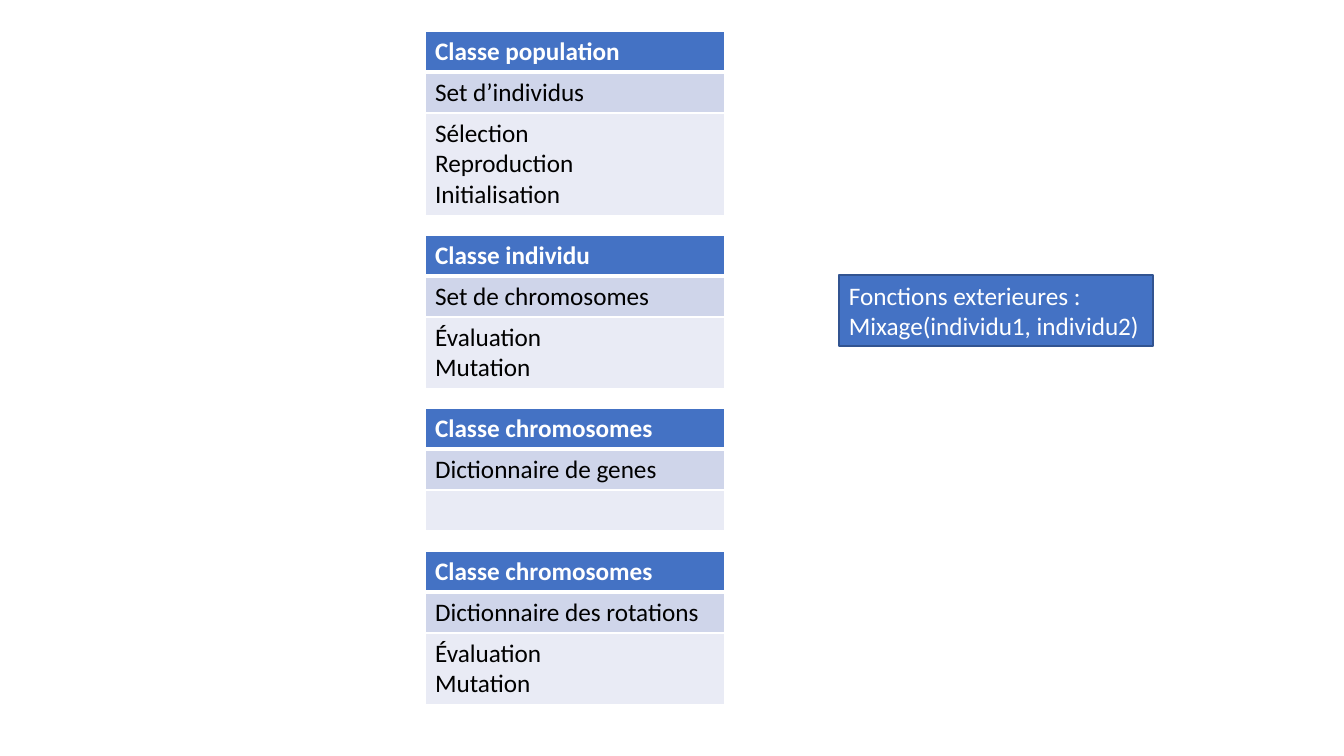
"""Build a slide of class tables beside a box of external functions."""
from dataclasses import dataclass

from lxml import etree
from pptx import Presentation
from pptx.dml.color import RGBColor
from pptx.enum.shapes import MSO_SHAPE
from pptx.enum.text import MSO_ANCHOR, MSO_AUTO_SIZE, PP_ALIGN
from pptx.oxml.ns import qn
from pptx.util import Emu, Pt

RECTANGLE = MSO_SHAPE.RECTANGLE
MIDDLE = MSO_ANCHOR.MIDDLE
GROW = MSO_AUTO_SIZE.SHAPE_TO_FIT_TEXT
LEFT = PP_ALIGN.LEFT

COLORS = {
    "accent": "4472C4",
    "attribute": "CFD5EA",
    "method": "E9EBF5",
    "outline": "325491",
    "white": "FFFFFF",
    "black": "000000",
}
FONT = "Calibri"
TABLE_LEFT, TABLE_WIDTH = 425, 300
ROW_HEIGHT, LINE_HEIGHT = 41, 30
THIN, THICK = 1, 3


@dataclass(frozen=True)
class ClassTable:
    top: int
    title: str
    attribute: str
    methods: tuple[str, ...] = ()


@dataclass(frozen=True)
class RowStyle:
    fill: str
    color: str
    bold: bool
    above: int
    below: int


ROW_STYLES = (
    RowStyle("accent", "white", True, THIN, THICK),
    RowStyle("attribute", "black", False, THICK, THIN),
    RowStyle("method", "black", False, THIN, THIN),
)
CLASS_TABLES = (
    ClassTable(235, "Classe individu", "Set de chromosomes", ("Évaluation", "Mutation")),
    ClassTable(408, "Classe chromosomes", "Dictionnaire de genes"),
    ClassTable(31, "Classe population", "Set d’individus",
               ("Sélection", "Reproduction", "Initialisation")),
    ClassTable(551, "Classe chromosomes", "Dictionnaire des rotations",
               ("Évaluation", "Mutation")),
)


def px(pixels: int) -> Emu:
    return Emu(round(pixels * 914400 / 100.8))


def rgb(name: str) -> RGBColor:
    return RGBColor.from_string(COLORS[name])


def write_text(frame, text: str, *, color: str, bold: bool = False, size: int = 18) -> None:
    for index, line in enumerate(text.split("\n")):
        para = frame.add_paragraph() if index else frame.paragraphs[0]
        para.alignment = LEFT
        if not line:
            continue
        span = para.add_run()
        span.text = line
        span.font.name = FONT
        span.font.size = Pt(size)
        span.font.bold = bold
        span.font.color.rgb = rgb(color)


def set_borders(cell, above: int, below: int) -> None:
    properties = cell._tc.get_or_add_tcPr()
    widths = {"lnL": THIN, "lnR": THIN, "lnT": above, "lnB": below}
    for index, (side, width) in enumerate(widths.items()):
        border = etree.Element(qn(f"a:{side}"), w=str(Pt(width)))
        fill = etree.SubElement(border, qn("a:solidFill"))
        etree.SubElement(fill, qn("a:srgbClr"), val=COLORS["white"])
        properties.insert(index, border)


def draw_class_table(page, item: ClassTable) -> None:
    texts = (item.title, item.attribute, "\n".join(item.methods))
    extra_lines = max(len(item.methods) - 1, 0)
    height = px(len(texts) * ROW_HEIGHT + extra_lines * LINE_HEIGHT)
    holder = page.shapes.add_table(len(texts), 1, px(TABLE_LEFT), px(item.top),
                                   px(TABLE_WIDTH), height)
    table = holder.table
    for row, text, style in zip(table.rows, texts, ROW_STYLES):
        row.height = px(ROW_HEIGHT)
        cell = row.cells[0]
        cell.fill.solid()
        cell.fill.fore_color.rgb = rgb(style.fill)
        set_borders(cell, style.above, style.below)
        write_text(cell.text_frame, text, color=style.color, bold=style.bold)
    holder.height = height


def draw_function_box(page, text: str) -> None:
    box = page.shapes.add_shape(RECTANGLE, px(839), px(275), px(314), px(71))
    box.shadow.inherit = False
    box.fill.solid()
    box.fill.fore_color.rgb = rgb("accent")
    box.line.color.rgb = rgb("outline")
    box.line.width = Pt(THIN)
    frame = box.text_frame
    frame.word_wrap = False
    frame.auto_size = GROW
    frame.vertical_anchor = MIDDLE
    write_text(frame, text, color="white")


def main() -> None:
    deck = Presentation()
    deck.slide_width, deck.slide_height = px(1344), px(756)
    page = deck.slides.add_slide(deck.slide_layouts[6])
    for item in CLASS_TABLES:
        draw_class_table(page, item)
    draw_function_box(page, "Fonctions exterieures :\nMixage(individu1, individu2)")
    deck.save("out.pptx")


main()
